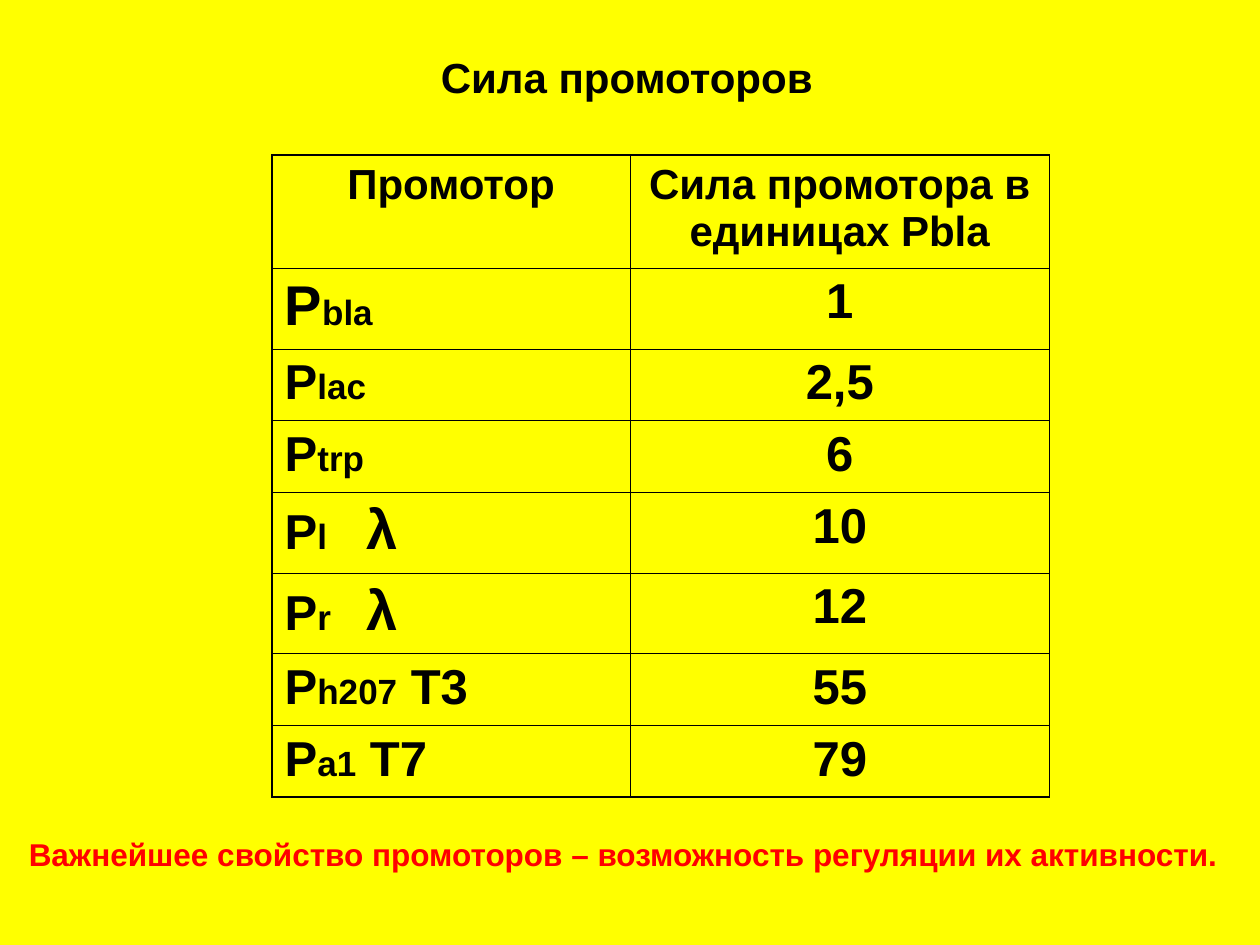
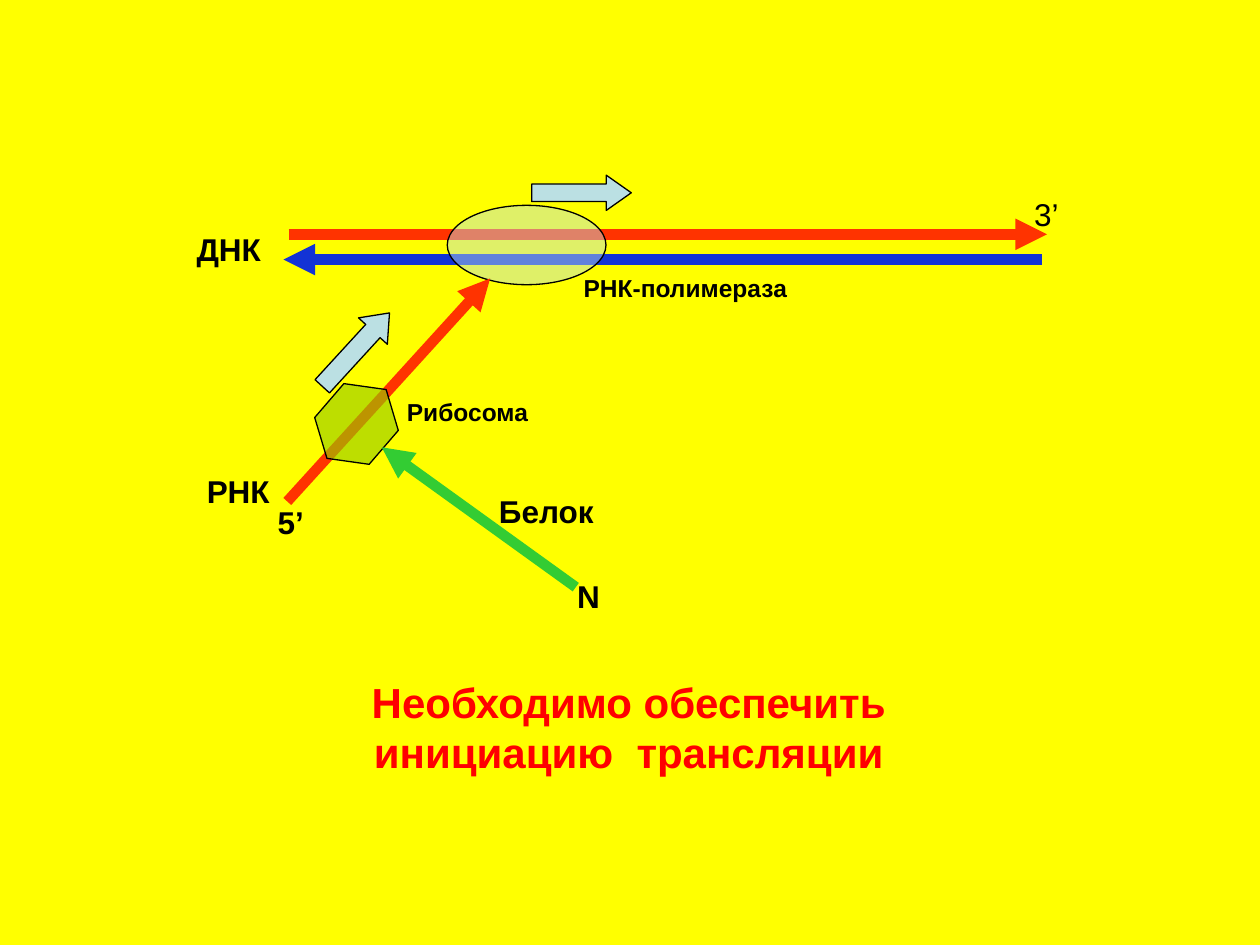
from dataclasses import dataclass

import lxml.etree
import pptx
import pptx.dml.color
import pptx.enum.shapes
import pptx.enum.text
import pptx.oxml
import pptx.oxml.ns
import pptx.util

EMU_PER_PX = 9144
FONT = "Arial"
YELLOW = "FFFF00"
BLACK = "000000"
RED = "FF0000"
STRAND_RED = "FF3300"
STRAND_BLUE = "1333D5"
PROTEIN_GREEN = "33CC33"
PALE_BLUE = "BBE0E3"
RIBOSOME_GREEN = "99CC00"

ALIGN = pptx.enum.text.PP_ALIGN
SHAPE = pptx.enum.shapes.MSO_SHAPE


@dataclass(frozen=True)
class Run:
    text: str
    size: int = 28


@dataclass(frozen=True)
class Label:
    text: str
    left: int
    top: int
    width: int
    height: int = 40
    size: int = 18
    color: str = BLACK
    bold: bool = True
    align: ALIGN = ALIGN.RIGHT
    wrap: bool = False


@dataclass(frozen=True)
class Strand:
    start: tuple[int, int]
    end: tuple[int, int]
    color: str


@dataclass(frozen=True)
class Figure:
    preset: SHAPE
    left: int
    top: int
    width: int
    height: int
    fill: str = PALE_BLUE
    opacity: int = 100
    rotation: float = 0
    adjustment: tuple[float, ...] = ()


@dataclass(frozen=True)
class Promoter:
    name: tuple[Run, ...]
    strength: str
    height: int = 57


PROMOTER_LEFT, PROMOTER_TOP = 216, 123
PROMOTER_COLUMNS = (284, 333)
HEADER_HEIGHT = 90
LAMBDA_TAB = 65
OUTER_BORDER, INNER_BORDER = 1.08, 0.45

PROMOTERS = (
    Promoter((Run("P", 32), Run("bla", 20)), "1", 64),
    Promoter((Run("P"), Run("lac", 20)), "2,5"),
    Promoter((Run("P"), Run("trp", 20)), "6"),
    Promoter((Run("P"), Run("l\t", 20), Run("λ", 32)), "10", 64),
    Promoter((Run("P"), Run("r\t", 20), Run("λ", 32)), "12", 64),
    Promoter((Run("P"), Run("h207", 20), Run(" T3")), "55"),
    Promoter((Run("P"), Run("a1", 20), Run(" T7")), "79"),
)

STRENGTH_LABELS = (
    Label("Сила промоторов", 340, 36, 317, 50, 24, align=ALIGN.LEFT),
    Label("Важнейшее свойство промоторов – возможность регуляции их активности.",
          13, 658, 969, color=RED, align=ALIGN.LEFT),
)

TRANSCRIPTION = (
    Strand((229, 186), (831, 186), STRAND_RED),
    Strand((827, 206), (225, 206), STRAND_BLUE),
    Figure(SHAPE.OVAL, 355, 163, 126, 63, opacity=46),
    Label("ДНК", 144, 178, 73),
    Label("3’", 806, 150, 44, bold=False),
    Label("РНК-полимераза", 453, 212, 182, 34, 14, align=ALIGN.CENTER),
    Figure(SHAPE.RIGHT_ARROW, 422, 139, 79, 28, adjustment=(0.5, 0.71)),
)

TRANSLATION = (
    Strand((228, 398), (389, 221), STRAND_RED),
    Label("РНК", 151, 370, 73),
    Label("5’", 207, 394, 44),
    Figure(SHAPE.HEXAGON, 247, 308, 72, 57, RIBOSOME_GREEN, 64, 310.7, (0.32,)),
    Label("Рибосома", 312, 310, 117, 34, 14),
    Figure(SHAPE.RIGHT_ARROW, 243, 262, 79, 31, rotation=312.5, adjustment=(0.5, 0.63)),
)

PROTEIN = (
    Strand((457, 466), (303, 355), PROTEIN_GREEN),
    Label("N", 448, 453, 38),
    Label("Белок", 386, 386, 95),
    Label("Необходимо обеспечить инициацию  трансляции", 230, 532, 538, 90, 24,
          RED, align=ALIGN.CENTER, wrap=True),
)


def px(length: int) -> pptx.util.Emu:
    return pptx.util.Emu(length * EMU_PER_PX)


def rgb(code: str) -> pptx.dml.color.RGBColor:
    return pptx.dml.color.RGBColor.from_string(code)


def add_element(parent, tag: str, **attributes: str):
    return lxml.etree.SubElement(parent, pptx.oxml.ns.qn(tag), attributes)


def add_run(paragraph, run: Run, color: str = BLACK, bold: bool = True) -> None:
    piece = paragraph.add_run()
    piece.text = run.text
    piece.font.name = FONT
    piece.font.size = pptx.util.Pt(run.size)
    piece.font.bold = bold
    piece.font.color.rgb = rgb(color)


def draw_label(shapes, label: Label) -> None:
    box = shapes.add_textbox(px(label.left), px(label.top), px(label.width), px(label.height))
    frame = box.text_frame
    frame.word_wrap = label.wrap
    frame.auto_size = pptx.enum.text.MSO_AUTO_SIZE.SHAPE_TO_FIT_TEXT
    paragraph = frame.paragraphs[0]
    paragraph.alignment = label.align
    add_run(paragraph, Run(label.text, label.size), label.color, label.bold)


def draw_strand(shapes, strand: Strand) -> None:
    line = shapes.add_connector(pptx.enum.shapes.MSO_CONNECTOR.STRAIGHT,
                                *map(px, strand.start), *map(px, strand.end))
    line.line.color.rgb = rgb(strand.color)
    line.line.width = pptx.util.Pt(6)
    properties = line._element.spPr
    add_element(properties.find(pptx.oxml.ns.qn("a:ln")), "a:tailEnd", type="triangle")
    add_element(properties, "a:effectLst")


def draw_figure(shapes, figure: Figure) -> None:
    shape = shapes.add_shape(figure.preset, px(figure.left), px(figure.top),
                             px(figure.width), px(figure.height))
    shape.shadow.inherit = False
    shape.rotation = figure.rotation
    for index, value in enumerate(figure.adjustment):
        shape.adjustments[index] = value
    shape.fill.solid()
    shape.fill.fore_color.rgb = rgb(figure.fill)
    if figure.opacity < 100:
        fill_color = shape._element.spPr.find(pptx.oxml.ns.qn("a:solidFill"))[0]
        add_element(fill_color, "a:alpha", val=str(figure.opacity * 1000))
    shape.line.color.rgb = rgb(BLACK)
    shape.line.width = pptx.util.Pt(0.75)


DRAW = {Label: draw_label, Strand: draw_strand, Figure: draw_figure}


def draw_all(shapes, parts: tuple[Label | Strand | Figure, ...]) -> None:
    for part in parts:
        DRAW[type(part)](shapes, part)


def set_border(cell, side: str, points: float) -> None:
    border = add_element(cell._tc.get_or_add_tcPr(), f"a:ln{side}",
                         w=str(pptx.util.Pt(points)))
    add_element(add_element(border, "a:solidFill"), "a:srgbClr", val=BLACK)


def fill_cell(table, row: int, column: int, runs: tuple[Run, ...], align: ALIGN) -> None:
    cell = table.cell(row, column)
    edges = {
        "L": column == 0,
        "R": column == len(table.columns) - 1,
        "T": row == 0,
        "B": row == len(table.rows) - 1,
    }
    for side, outer in edges.items():
        set_border(cell, side, OUTER_BORDER if outer else INNER_BORDER)
    cell.fill.background()
    paragraph = cell.text_frame.paragraphs[0]
    paragraph.alignment = align
    if any("\t" in run.text for run in runs):
        tabs = add_element(paragraph._p.get_or_add_pPr(), "a:tabLst")
        add_element(tabs, "a:tab", pos=str(px(LAMBDA_TAB)), algn="l")
    for run in runs:
        add_run(paragraph, run)


def draw_promoters(shapes) -> None:
    heights = (HEADER_HEIGHT, *(promoter.height for promoter in PROMOTERS))
    table = shapes.add_table(len(heights), len(PROMOTER_COLUMNS),
                             px(PROMOTER_LEFT), px(PROMOTER_TOP),
                             px(sum(PROMOTER_COLUMNS)), px(sum(heights))).table
    table.first_row = False
    table.horz_banding = False
    for column, width in zip(table.columns, PROMOTER_COLUMNS):
        column.width = px(width)
    for row, height in zip(table.rows, heights):
        row.height = px(height)
    for column, heading in enumerate(("Промотор", "Сила промотора в единицах Рbla")):
        fill_cell(table, 0, column, (Run(heading, 24),), ALIGN.CENTER)
    for row, promoter in enumerate(PROMOTERS, start=1):
        fill_cell(table, row, 0, promoter.name, ALIGN.LEFT)
        fill_cell(table, row, 1, (Run(promoter.strength),), ALIGN.CENTER)


def add_yellow_slide(deck):
    slide = deck.slides.add_slide(deck.slide_layouts[6])
    slide.background.fill.solid()
    slide.background.fill.fore_color.rgb = rgb(YELLOW)
    return slide


def main() -> None:
    deck = pptx.Presentation()
    deck.slide_width, deck.slide_height = px(1000), px(750)

    strength = add_yellow_slide(deck)
    draw_promoters(strength.shapes)
    draw_all(strength.shapes, STRENGTH_LABELS)

    expression = add_yellow_slide(deck)
    for stage in (TRANSCRIPTION, TRANSLATION):
        draw_all(expression.shapes.add_group_shape().shapes, stage)
    draw_all(expression.shapes, PROTEIN)

    deck.save("out.pptx")


if __name__ == "__main__":
    main()
